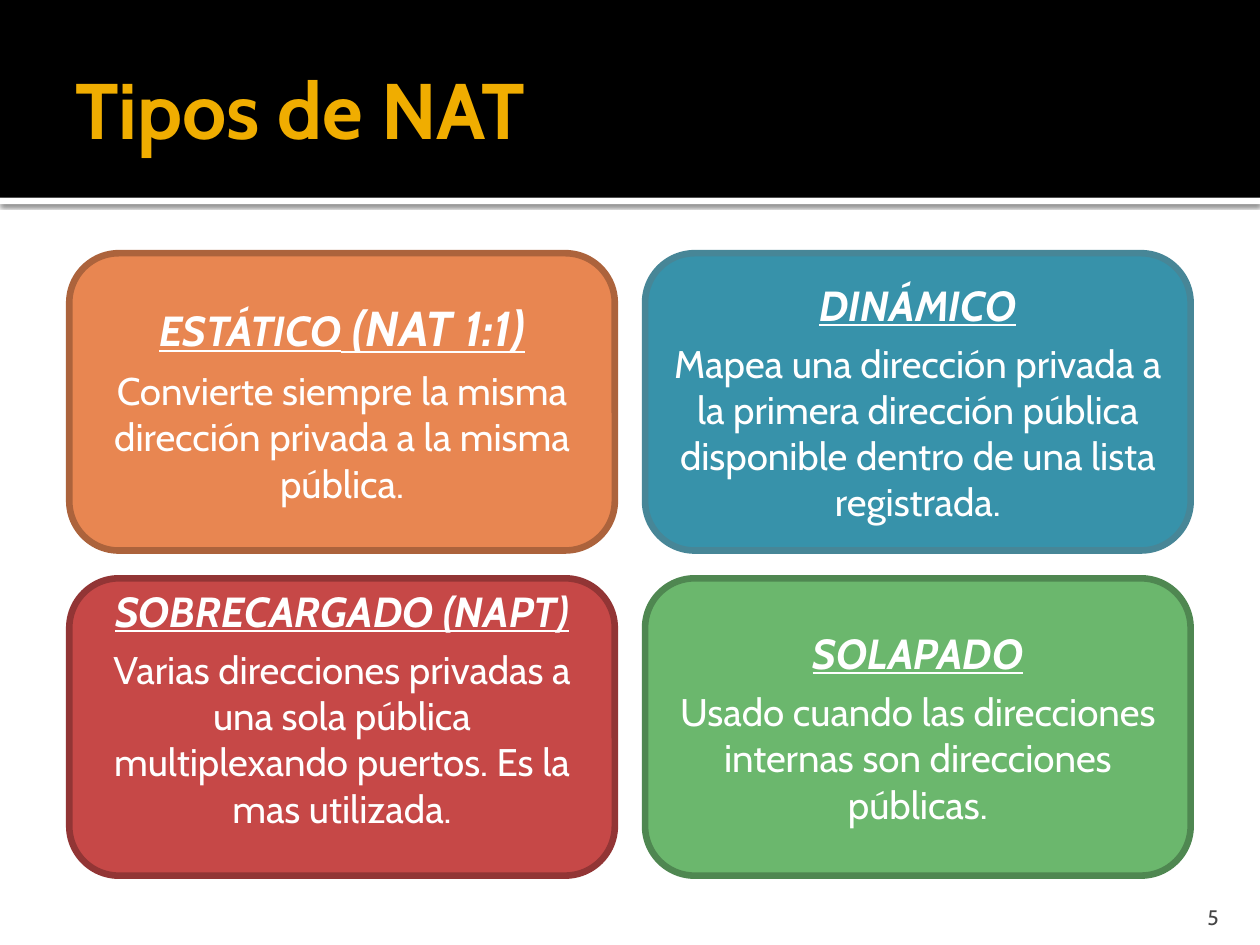
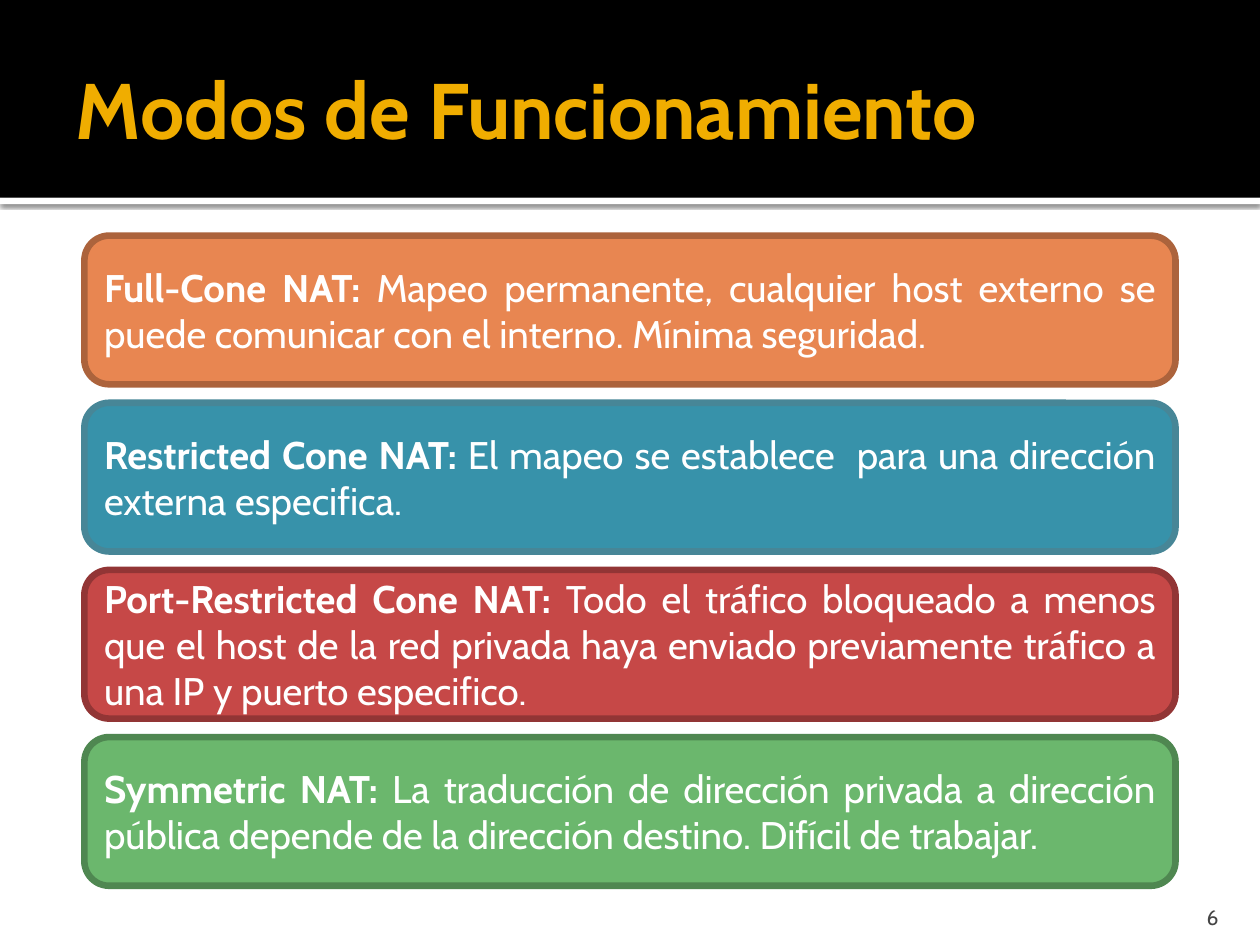
from dataclasses import dataclass

from lxml import etree
from pptx import Presentation
from pptx.dml.color import RGBColor
from pptx.enum.shapes import MSO_SHAPE
from pptx.enum.text import MSO_ANCHOR, MSO_AUTO_SIZE, PP_ALIGN
from pptx.oxml import parse_xml
from pptx.oxml.ns import nsdecls, qn
from pptx.util import Inches, Pt

RECT, ROUND_RECT = MSO_SHAPE.RECTANGLE, MSO_SHAPE.ROUNDED_RECTANGLE
MIDDLE, BOTTOM = MSO_ANCHOR.MIDDLE, MSO_ANCHOR.BOTTOM
CENTER, JUSTIFY = PP_ALIGN.CENTER, PP_ALIGN.JUSTIFY
LEFT, RIGHT = PP_ALIGN.LEFT, PP_ALIGN.RIGHT
TITLE_ONLY = 5

# Each heading is a list of (text, size name) runs.
TYPES_TITLE = "Tipos de NAT"
NAT_TYPES = [
    ([("ESTÁTICO", "heading"), (" (NAT 1:1)", "heading_large")],
     "Convierte siempre la misma dirección privada a la misma pública."),
    ([("DINÁMICO", "heading")],
     "Mapea una dirección privada a la primera dirección pública "
     "disponible dentro de una lista registrada."),
    ([("SOBRECARGADO (NAPT)", "heading")],
     "Varias direcciones privadas a una sola pública multiplexando puertos. "
     "Es la mas utilizada."),
    ([("SOLAPADO", "heading")],
     "Usado cuando las direcciones internas son direcciones públicas."),
]
RAISED_TYPE = 2  # this card's text sits above the middle

MODES_TITLE = "Modos de Funcionamiento"
NAT_MODES = [
    ("Full-Cone NAT:",
     " Mapeo permanente, cualquier host externo se puede comunicar con el "
     "interno. Mínima seguridad."),
    ("Restricted Cone NAT:",
     " El mapeo se establece  para una dirección externa especifica."),
    ("Port-Restricted Cone NAT:",
     " Todo el tráfico bloqueado a menos que el host de la red privada haya "
     "enviado previamente tráfico a una IP y puerto especifico."),
    ("Symmetric NAT:",
     " La traducción de dirección privada a dirección pública depende de la "
     "dirección destino. Difícil de trabajar."),
]
FIRST_NUMBER = 5


@dataclass(frozen=True)
class Theme:
    font: str = "Cabin"
    band: str = "000000"
    white: str = "FFFFFF"
    title_color: str = "F0AD00"
    number_color: str = "454545"
    cards: tuple = (("E88651", "AC633C"), ("3792AA", "478697"),
                    ("C64847", "923535"), ("6BB76D", "4F8751"))
    border: float = 3.78
    title: int = 45
    heading_large: int = 28
    heading: int = 24
    body: int = 22
    number: int = 12


THEME = Theme()


def add_run(p, text, size, color=THEME.white, bold=False, italic=False,
            underline=False):
    r = p.add_run()
    r.text = text
    font = r.font
    font.name, font.size = THEME.font, Pt(size)
    font.color.rgb = RGBColor.from_string(color)
    font.bold, font.italic, font.underline = bold, italic, underline
    return r


def add_box(slide, kind, box, fill, line=None):
    sp = slide.shapes.add_shape(kind, *map(Inches, box))
    sp.shadow.inherit = False
    sp.fill.solid()
    sp.fill.fore_color.rgb = RGBColor.from_string(fill)
    if line:
        sp.line.color.rgb = RGBColor.from_string(line)
        sp.line.width = Pt(THEME.border)
    else:
        sp.line.fill.background()
    return sp


def add_card(slide, box, index, align):
    """Add a coloured card; return its text frame and first paragraph."""
    tf = add_box(slide, ROUND_RECT, box, *THEME.cards[index]).text_frame
    tf.word_wrap = True
    tf.vertical_anchor = MIDDLE
    p = tf.paragraphs[0]
    p.alignment = align
    return tf, p


def set_margins(tf, left, top, right, bottom):
    tf.margin_left, tf.margin_top = Inches(left), Inches(top)
    tf.margin_right, tf.margin_bottom = Inches(right), Inches(bottom)


def add_layout_band(slide, layout):
    """Draw the header band and move it to the layout, behind everything."""
    strip = add_box(slide, RECT, (0, 1.57, 10, 0.05), THEME.white)
    effects = strip.element.spPr.find(qn("a:effectLst"))
    effects.append(parse_xml(
        f'<a:outerShdw {nsdecls("a")} blurRad="{Pt(2.5)}" dist="{Pt(0.8)}" '
        'dir="5400000" rotWithShape="0"><a:srgbClr val="000000">'
        '<a:alpha val="60000"/></a:srgbClr></a:outerShdw>'))
    band = add_box(slide, RECT, (0, 0, 10, 1.57), THEME.band)
    for place, sp in enumerate((strip, band), start=2):
        layout.shapes.element.insert(place, sp.element)


def add_title(slide, text):
    title = slide.shapes.title
    title.left, title.top = Inches(0.5), Inches(0.17)
    title.width, title.height = Inches(9), Inches(1.37)
    tf = title.text_frame
    tf.auto_size = MSO_AUTO_SIZE.NONE
    tf.vertical_anchor = MIDDLE
    set_margins(tf, 0.1, 0.05, 0.05, 0.05)
    p = tf.paragraphs[0]
    p.alignment = LEFT
    add_run(p, text, THEME.title, THEME.title_color, bold=True)


def add_slide_number(slide, number):
    box = slide.shapes.add_textbox(*map(Inches, (8.97, 7.08, 0.8, 0.3)))
    tf = box.text_frame
    tf.word_wrap = True
    tf.vertical_anchor = BOTTOM
    set_margins(tf, 0.1, 0.05, 0.1, 0)
    p = tf.paragraphs[0]
    p.alignment = RIGHT
    run = add_run(p, str(number), THEME.number, THEME.number_color)._r
    # A slide number field holds the same children as a run.
    field = etree.Element(qn("a:fld"), type="slidenum",
                          id="{B6F15528-21DE-4FAA-801E-634DDDAF4B2B}")
    field.extend(list(run))
    run.getparent().replace(run, field)


def add_type_cards(slide):
    left, top, width, height = 0.55, 2.01, 4.33, 2.36
    step_x, step_y = 4.57, 2.58
    for i, (heading, body) in enumerate(NAT_TYPES):
        row, col = divmod(i, 2)
        box = (left + col * step_x, top + row * step_y, width, height)
        tf, p = add_card(slide, box, i, CENTER)
        if i == RAISED_TYPE:
            tf.margin_bottom = Inches(0.35)
        for text, size in heading:
            add_run(p, text, getattr(THEME, size), bold=True, italic=True,
                    underline=True)
        p = tf.add_paragraph()
        p.alignment = CENTER
        p.space_before = Pt(6)
        add_run(p, body, THEME.body)


def add_mode_cards(slide):
    first_top, last_top = 1.87, 5.85
    step = (last_top - first_top) / (len(NAT_MODES) - 1)
    for i, (name, body) in enumerate(NAT_MODES):
        box = (0.67, first_top + i * step, 8.66, 1.18)
        _, p = add_card(slide, box, i, JUSTIFY)
        add_run(p, name, THEME.body, bold=True)
        add_run(p, body, THEME.body)


def main():
    prs = Presentation()
    prs.slide_width, prs.slide_height = Inches(10), Inches(7.5)
    prs.element.set("firstSlideNum", str(FIRST_NUMBER))
    layout = prs.slide_layouts[TITLE_ONLY]
    pages = [(TYPES_TITLE, add_type_cards), (MODES_TITLE, add_mode_cards)]
    for i, (title, add_cards) in enumerate(pages):
        slide = prs.slides.add_slide(layout)
        if i == 0:
            add_layout_band(slide, layout)
        add_title(slide, title)
        add_slide_number(slide, FIRST_NUMBER + i)
        add_cards(slide)
    prs.save("out.pptx")


if __name__ == "__main__":
    main()
